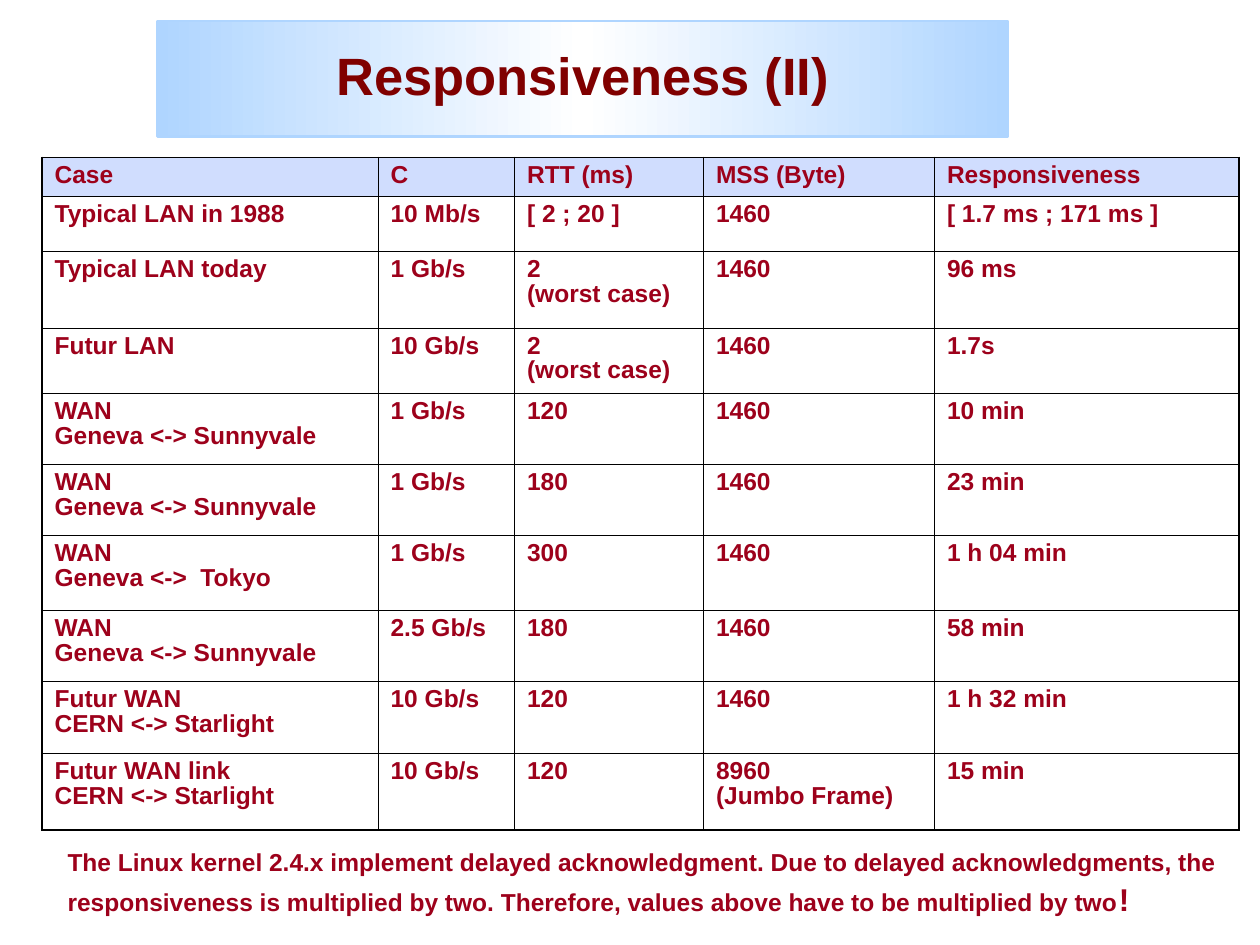
from copy import deepcopy

from lxml.etree import SubElement
from pptx import Presentation
from pptx.dml.color import RGBColor
from pptx.enum.text import MSO_ANCHOR as Anchor, MSO_AUTO_SIZE as AutoSize, PP_ALIGN as Align
from pptx.oxml.ns import qn
from pptx.util import Pt

COLORS = {
    "sky": "AFD5FF",
    "white": "FFFFFF",
    "maroon": "800000",
    "crimson": "9D011B",
    "lavender": "D0DDFE",
    "violet": "3912C8",
    "black": "000000",
}
INSETS = {
    "margin_left": Pt(7.2),
    "margin_right": Pt(7.2),
    "margin_top": Pt(3.6),
    "margin_bottom": Pt(3.6),
}
TITLE_FONT = {"name": "Arial", "size": Pt(30), "bold": True}
BODY_FONT = {"name": "Arial", "size": Pt(14), "bold": True}
OUTER_LINE, INNER_LINE = Pt(1.08), Pt(0.45)

COLUMN_WIDTHS = [192, 78, 108, 132, 174]
ROW_HEIGHTS = [22.5, 31, 44, 37.5, 40.5, 40.5, 43, 40.5, 41, 44]
SUNNYVALE = "WAN\nGeneva <-> Sunnyvale"
WORST_CASE = "2\n(worst case)"
CASES = [
    ["Case", "C", "RTT (ms)", "MSS (Byte)", "Responsiveness"],
    ["Typical LAN in 1988", "10 Mb/s", "[ 2 ; 20 ]", "1460", "[ 1.7 ms ; 171 ms ]"],
    ["Typical LAN today", "1 Gb/s", WORST_CASE, "1460", "96 ms"],
    ["Futur LAN", "10 Gb/s", WORST_CASE, "1460", "1.7s"],
    [SUNNYVALE, "1 Gb/s", "120", "1460", "10 min"],
    [SUNNYVALE, "1 Gb/s", "180", "1460", "23 min"],
    ["WAN\nGeneva <->  Tokyo", "1 Gb/s", "300", "1460", "1 h 04 min"],
    [SUNNYVALE, "2.5 Gb/s", "180", "1460", "58 min"],
    ["Futur WAN\nCERN <-> Starlight", "10 Gb/s", "120", "1460", "1 h 32 min"],
    ["Futur WAN link\nCERN <-> Starlight", "10 Gb/s", "120", "8960\n(Jumbo Frame)", "15 min"],
]
DELAYED_ACK = (
    "The Linux kernel 2.4.x implement delayed acknowledgment. "
    "Due to delayed acknowledgments, the responsiveness is multiplied by two. "
    "Therefore, values above have to be multiplied by two"
)


def rgb(color):
    return RGBColor.from_string(COLORS[color])


def apply(target, values):
    for name, value in values.items():
        setattr(target, name, value)


class SlideBuilder:
    def __init__(self, deck):
        self.slide = deck.slides.add_slide(deck.slide_layouts[5])

    def style_run(self, run, font, color):
        apply(run.font, font)
        run.font.color.rgb = rgb(color)

    def title(self, wording, left, top, width, height):
        banner = self.slide.shapes.title
        apply(banner, {"left": Pt(left), "top": Pt(top), "width": Pt(width), "height": Pt(height)})
        banner.fill.gradient()
        banner.fill.gradient_angle = 0
        stop_list = banner.fill.gradient_stops[0]._gs.getparent()
        stop_list.insert(1, deepcopy(stop_list[0]))
        for stop, position, color in zip(
            banner.fill.gradient_stops, (0, 0.5, 1), ("sky", "white", "sky")
        ):
            stop.position = position
            stop.color.rgb = rgb(color)
        banner.line.color.rgb = rgb("sky")
        banner.line.width = Pt(1.25)
        frame = banner.text_frame
        apply(frame, {
            **INSETS,
            "word_wrap": True,
            "auto_size": AutoSize.NONE,
            "vertical_anchor": Anchor.MIDDLE,
        })
        heading = frame.paragraphs[0]
        heading.text = wording
        apply(heading, {"alignment": Align.CENTER, "line_spacing": 0.9})
        self.style_run(heading.runs[0], TITLE_FONT, "maroon")

    def border(self, cell, side, width):
        edge = SubElement(cell._tc.get_or_add_tcPr(), qn(f"a:ln{side}"), w=str(int(width)))
        SubElement(SubElement(edge, qn("a:solidFill")), qn("a:srgbClr"), val=COLORS["black"])

    def cell(self, cell, wording, outer_sides, is_header):
        for side in "LRTB":
            self.border(cell, side, OUTER_LINE if side in outer_sides else INNER_LINE)
        if is_header:
            cell.fill.solid()
            cell.fill.fore_color.rgb = rgb("lavender")
        else:
            cell.fill.background()
        apply(cell, {**INSETS, "vertical_anchor": Anchor.TOP})
        entry = cell.text_frame.paragraphs[0]
        entry.text = wording
        entry.line_spacing = 0.9
        for run in entry.runs:
            self.style_run(run, BODY_FONT, "crimson")
        for line_break in entry._p.findall(qn("a:br")):
            line_break.append(deepcopy(entry.runs[0]._r.rPr))

    def table(self, rows, left, top, widths, heights):
        table = self.slide.shapes.add_table(
            len(rows), len(widths), Pt(left), Pt(top), Pt(sum(widths)), Pt(sum(heights))
        ).table
        apply(table, {"first_row": False, "horz_banding": False})
        for column, width in zip(table.columns, widths):
            column.width = Pt(width)
        for row, height in zip(table.rows, heights):
            row.height = Pt(height)
        last_row, last_column = len(rows) - 1, len(widths) - 1
        for r, row in enumerate(rows):
            for c, wording in enumerate(row):
                on_edge = {"L": c == 0, "R": c == last_column, "T": r == 0, "B": r == last_row}
                outer_sides = [side for side, outer in on_edge.items() if outer]
                self.cell(table.cell(r, c), wording, outer_sides, r == 0)

    def text(self, runs, left, top, width, height):
        frame = self.slide.shapes.add_textbox(
            Pt(left), Pt(top), Pt(width), Pt(height)
        ).text_frame
        apply(frame, {
            **INSETS,
            "word_wrap": True,
            "auto_size": AutoSize.SHAPE_TO_FIT_TEXT,
            "vertical_anchor": Anchor.MIDDLE,
        })
        for wording, font, color in runs:
            run = frame.paragraphs[0].add_run()
            run.text = wording
            self.style_run(run, font, color)


def main():
    deck = Presentation()
    apply(deck, {"slide_width": Pt(720), "slide_height": Pt(540)})
    builder = SlideBuilder(deck)
    builder.title("Responsiveness (II)", 90, 12, 486, 66)
    builder.table(CASES, 24, 90, COLUMN_WIDTHS, ROW_HEIGHTS)
    builder.text(
        [
            (DELAYED_ACK, BODY_FONT, "crimson"),
            ("!", {**BODY_FONT, "size": Pt(18)}, "crimson"),
            (" ", {"name": "Cabin", "size": Pt(20), "bold": True}, "violet"),
        ],
        31.5, 480, 688.5, 48.5,
    )
    deck.save("out.pptx")


if __name__ == "__main__":
    main()
